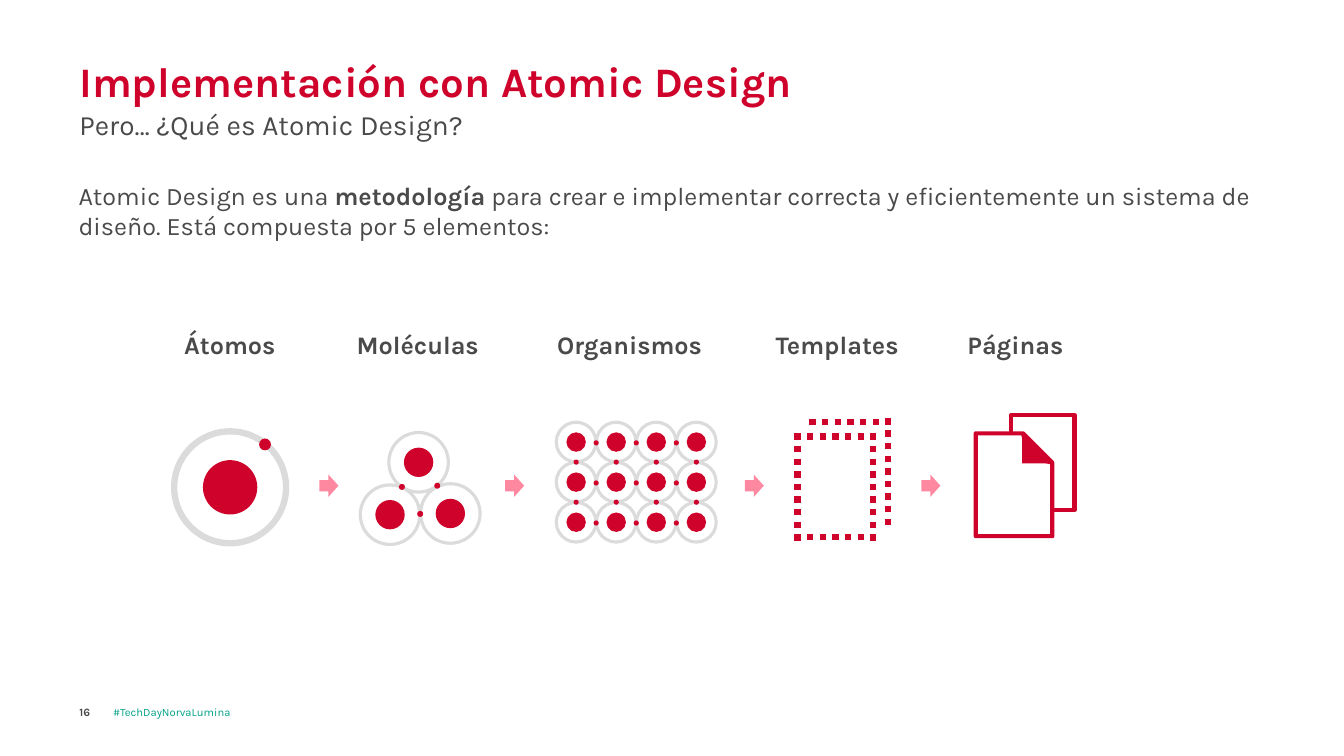
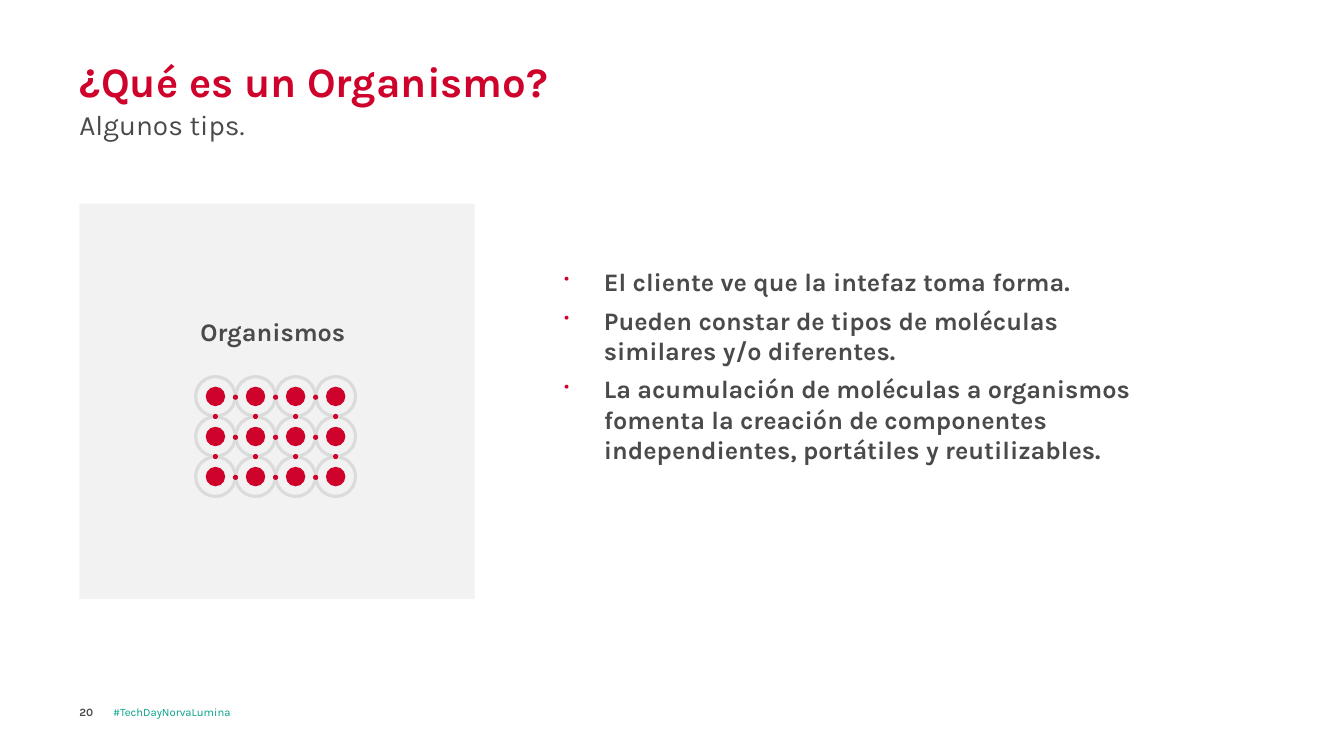
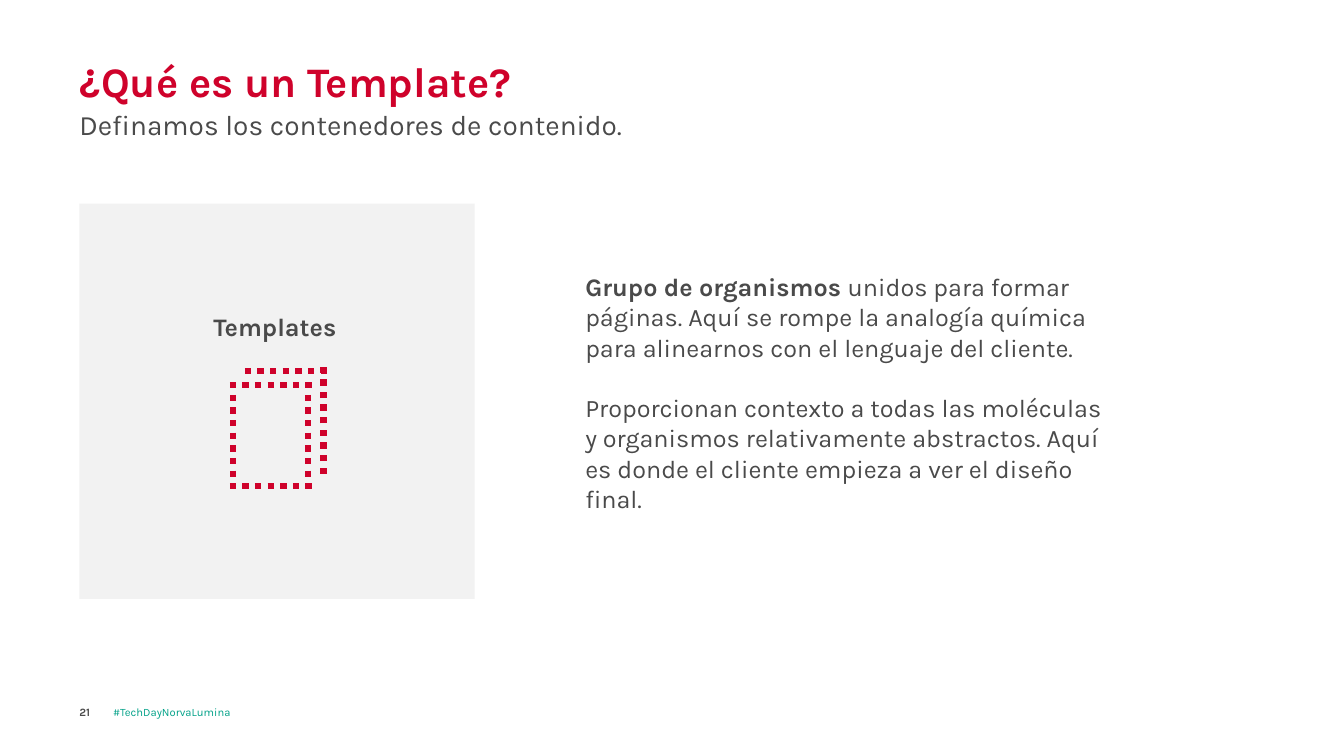
from dataclasses import dataclass
from typing import NamedTuple

from lxml import etree
from pptx import Presentation
from pptx import util as u
from pptx.dml.color import RGBColor
from pptx.enum import shapes, text
from pptx.oxml import ns

COLORS = {
    "red": "CF022B",
    "pink": "FE889F",
    "ink": "4A4A4A",
    "teal": "00A188",
    "ring": "DBDBDB",
    "panel": "F2F2F2",
    "white": "FFFFFF",
}
FONT = "Karla"
HASHTAG = "#TechDayNorvaLumina"


class Box(NamedTuple):
    left: float
    top: float
    width: float
    height: float


class Point(NamedTuple):
    x: float
    y: float


class Run(NamedTuple):
    words: str
    bold: bool = False


class Segment(NamedTuple):
    x1: float
    y1: float
    x2: float
    y2: float


@dataclass(frozen=True)
class Stage:
    name: str
    left: float
    width: float


STAGES = [
    Stage("Átomos", 4.39, 3.23),
    Stage("Moléculas", 8.74, 3.73),
    Stage("Organismos", 13.79, 4.34),
    Stage("Templates", 19.3, 4.34),
    Stage("Páginas", 24.13, 3.25),
]
STEP_ARROWS = [8.05, 12.73, 18.77, 23.22]
MOLECULE_ATOMS = [Point(9.83, 12.97), Point(11.35, 12.94), Point(10.55, 11.65)]
MOLECULE_BONDS = [Point(10.59, 12.95), Point(11.02, 12.24), Point(10.13, 12.27)]
TEMPLATE_EDGES = [
    Segment(0.38, 0.1, 2.57, 0.1),
    Segment(2.36, 2.69, 2.36, 0),
    Segment(0, 3, 2.18, 3),
    Segment(1.98, 0.38, 1.98, 3.1),
    Segment(0, 0.46, 2.18, 0.46),
    Segment(0.08, 0.38, 0.08, 3.1),
]
PANEL = Box(2, 5.13, 9.96, 9.96)


def color(name: str) -> RGBColor:
    return RGBColor.from_string(COLORS[name])


def lengths(box: Box) -> list:
    return [u.Cm(value) for value in box]


def add_bullet(paragraph) -> None:
    properties = paragraph._p.get_or_add_pPr()
    properties.set("marL", str(u.Cm(1)))
    properties.set("indent", str(u.Cm(-1)))
    tint = etree.SubElement(properties, ns.qn("a:buClr"))
    etree.SubElement(tint, ns.qn("a:srgbClr"), val=COLORS["red"])
    etree.SubElement(properties, ns.qn("a:buSzPct"), val="60000")
    etree.SubElement(properties, ns.qn("a:buChar"), char="•")


def write(slide, box: Box, *paragraphs, holder=None, size=18, ink="ink", bold=False,
          anchor=text.MSO_ANCHOR.TOP, inset=True, gap=0, bullets=False) -> None:
    if holder is None:
        holder = slide.shapes.add_textbox(*lengths(box))
    else:
        holder.left, holder.top, holder.width, holder.height = lengths(box)
    frame = holder.text_frame
    frame.word_wrap = True
    frame.auto_size = text.MSO_AUTO_SIZE.NONE
    frame.vertical_anchor = anchor
    side, edge = (0.25, 0.13) if inset else (0, 0)
    frame.margin_left = frame.margin_right = u.Cm(side)
    frame.margin_top = frame.margin_bottom = u.Cm(edge)
    for index, content in enumerate(paragraphs):
        paragraph = frame.add_paragraph() if index else frame.paragraphs[0]
        if bullets:
            add_bullet(paragraph)
        paragraph.alignment = text.PP_ALIGN.LEFT
        paragraph.space_before = u.Pt(gap if index else 0)
        for part in [Run(content, bold)] if isinstance(content, str) else content:
            run = paragraph.add_run()
            run.text = part.words
            run.font.name = FONT
            run.font.size = u.Pt(size)
            run.font.bold = part.bold
            run.font.color.rgb = color(ink)


def draw(slide, preset, box: Box, fill: str = "", line: str = "", width: float = 0):
    shape = slide.shapes.add_shape(preset, *lengths(box))
    shape.shadow.inherit = False
    if fill:
        shape.fill.solid()
        shape.fill.fore_color.rgb = color(fill)
    else:
        shape.fill.background()
    if line:
        shape.line.color.rgb = color(line)
        shape.line.width = u.Pt(width)
    else:
        shape.line.fill.background()
    return shape


def draw_circle(slide, center: Point, diameter: float, **look) -> None:
    box = Box(center.x - diameter / 2, center.y - diameter / 2, diameter, diameter)
    draw(slide, shapes.MSO_SHAPE.OVAL, box, **look)


def draw_atom(slide, center: Point, nucleus: float, ring: float, width: float = 2.25) -> None:
    draw_circle(slide, center, nucleus, fill="red")
    draw_circle(slide, center, ring, line="ring", width=width)


def draw_molecule(slide) -> None:
    for center in MOLECULE_ATOMS:
        draw_atom(slide, center, 0.74, 1.5)
    for center in MOLECULE_BONDS:
        draw_circle(slide, center, 0.15, fill="red")


def draw_organism(slide, first: Point, columns: int = 4, rows: int = 3) -> None:
    pitch = 1.01
    cells = [Point(first.x + column * pitch, first.y + row * pitch)
             for column in range(columns) for row in range(rows)]
    for center in cells:
        draw_atom(slide, center, 0.49, 1)
    last = cells[-1]
    for center in cells:
        if center.y < last.y:
            draw_circle(slide, Point(center.x, center.y + pitch / 2), 0.13, fill="red")
        if center.x < last.x:
            draw_circle(slide, Point(center.x + pitch / 2, center.y + 0.02), 0.13, fill="red")


def draw_template(slide, origin: Point) -> None:
    for edge in TEMPLATE_EDGES:
        dotted = slide.shapes.add_connector(
            shapes.MSO_CONNECTOR.STRAIGHT,
            u.Cm(origin.x + edge.x1), u.Cm(origin.y + edge.y1),
            u.Cm(origin.x + edge.x2), u.Cm(origin.y + edge.y2))
        dotted.line.color.rgb = color("red")
        dotted.line.width = u.Pt(4.5)
        properties = dotted._element.spPr
        outline = properties.find(ns.qn("a:ln"))
        etree.SubElement(outline, ns.qn("a:prstDash"), val="sysDot")
        etree.SubElement(properties, ns.qn("a:effectLst"))


def draw_pages(slide) -> None:
    draw(slide, shapes.MSO_SHAPE.RECTANGLE, Box(25.48, 10.46, 1.6, 2.39), line="red", width=3)
    front = draw(slide, shapes.MSO_SHAPE.FOLDED_CORNER, Box(24.59, 10.92, 1.93, 2.59),
                 fill="white", line="red", width=3)
    front.rotation = 180
    properties = front._element.spPr
    properties.xfrm.set("flipH", "1")
    fold = properties.find(f"{ns.qn('a:prstGeom')}/{ns.qn('a:avLst')}")
    etree.SubElement(fold, ns.qn("a:gd"), name="adj", fmla="val 38200")
    draw(slide, shapes.MSO_SHAPE.RIGHT_TRIANGLE, Box(25.76, 10.92, 0.76, 0.76), fill="red")


def start_slide(deck, title: str, subtitle: str, number: int):
    slide = deck.slides.add_slide(deck.slide_layouts[5])
    write(slide, Box(2, 0.08, 23.75, 2.59), title, holder=slide.shapes.title, size=30,
          ink="red", bold=True, anchor=text.MSO_ANCHOR.BOTTOM, inset=False)
    write(slide, Box(2, 2.72, 29.87, 1), subtitle, size=20, inset=False)
    footer = {"size": 8, "anchor": text.MSO_ANCHOR.MIDDLE, "inset": False}
    write(slide, Box(2.85, 17.6, 10, 0.71), HASHTAG, ink="teal", **footer)
    write(slide, Box(2, 17.6, 0.8, 0.71), str(number), bold=True, **footer)
    return slide


def start_panel_slide(deck, title: str, subtitle: str, number: int, label: str, corner: Point):
    slide = start_slide(deck, title, subtitle, number)
    draw(slide, shapes.MSO_SHAPE.RECTANGLE, PANEL, fill="panel")
    write(slide, Box(corner.x, corner.y, 4.34, 1.02), label, bold=True)
    return slide


def build_methodology(deck) -> None:
    slide = start_slide(deck, "Implementación con Atomic Design",
                        "Pero… ¿Qué es Atomic Design?", 16)
    write(slide, Box(1.73, 4.42, 30.43, 1.8), [
        Run("Atomic Design es una "),
        Run("metodología", True),
        Run(" para crear e implementar correcta y eficientemente un sistema de diseño. "
            "Está compuesta por 5 elementos:"),
    ])
    for stage in STAGES:
        write(slide, Box(stage.left, 8.18, stage.width, 1.02), stage.name, bold=True)
    draw_atom(slide, Point(5.8, 12.28), 1.37, 2.82, 4.5)
    draw_circle(slide, Point(6.68, 11.2), 0.3, fill="red")
    draw_molecule(slide)
    draw_organism(slide, Point(14.52, 11.14))
    draw_template(slide, Point(20.02, 10.54))
    draw_pages(slide)
    for left in STEP_ARROWS:
        arrow = draw(slide, shapes.MSO_SHAPE.RIGHT_ARROW, Box(left, 11.96, 0.48, 0.56), fill="pink")
        arrow.adjustments[1] = 0.525


def build_organism(deck) -> None:
    slide = start_panel_slide(deck, "¿Qué es un Organismo?", "Algunos tips.", 20,
                              "Organismos", Point(4.8, 7.85))
    draw_organism(slide, Point(5.43, 9.99))
    write(slide, Box(14.22, 6.71, 14.55, 6.6),
          "El cliente ve que la intefaz toma forma.",
          "Pueden constar de tipos de moléculas similares y/o diferentes.",
          "La acumulación de moléculas a organismos fomenta la creación de componentes "
          "independientes, portátiles y reutilizables.",
          bold=True, inset=False, gap=6, bullets=True)


def build_template(deck) -> None:
    slide = start_panel_slide(deck, "¿Qué es un Template?",
                              "Definamos los contenedores de contenido.", 21,
                              "Templates", Point(5.13, 7.72))
    draw_template(slide, Point(5.79, 9.25))
    write(slide, Box(14.5, 6.71, 13.56, 7.19),
          [Run("Grupo de organismos ", True),
           Run("unidos para formar páginas. Aquí se rompe la analogía química para "
               "alinearnos con el lenguaje del cliente.")],
          "Proporcionan contexto a todas las moléculas y organismos relativamente abstractos. "
          "Aquí es donde el cliente empieza a ver el diseño final.",
          gap=21.6)


def main() -> None:
    deck = Presentation()
    deck.slide_width, deck.slide_height = u.Cm(33.87), u.Cm(19.05)
    build_methodology(deck)
    build_organism(deck)
    build_template(deck)
    deck.save("out.pptx")


if __name__ == "__main__":
    main()
